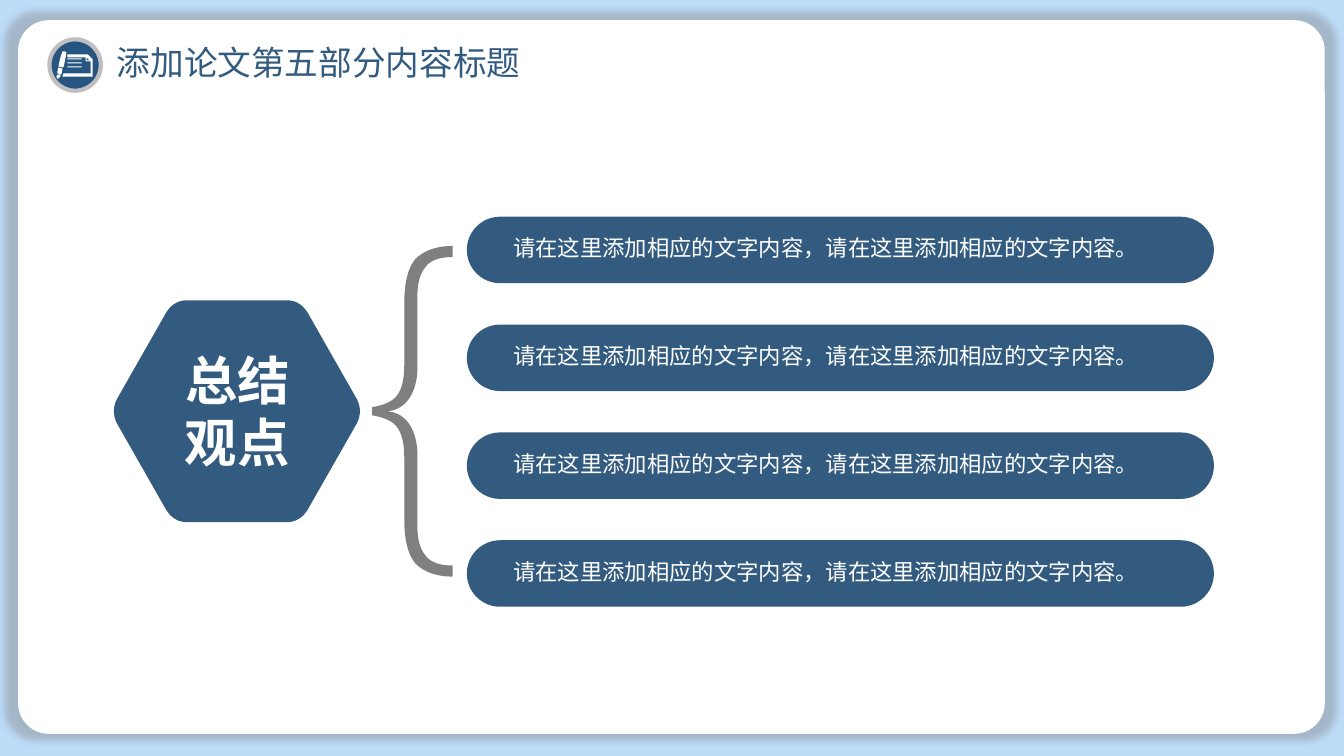
from dataclasses import dataclass

from lxml import etree
from pptx import Presentation
from pptx.dml.color import RGBColor
from pptx.enum.shapes import MSO_SHAPE
from pptx.enum.text import MSO_ANCHOR, MSO_AUTO_SIZE, PP_ALIGN
from pptx.oxml.ns import qn
from pptx.util import Inches, Pt

RECT, ROUND, OVAL = MSO_SHAPE.RECTANGLE, MSO_SHAPE.ROUNDED_RECTANGLE, MSO_SHAPE.OVAL
LEFT, CENTER, JUSTIFY = PP_ALIGN.LEFT, PP_ALIGN.CENTER, PP_ALIGN.JUSTIFY
TOP, FIT = MSO_ANCHOR.TOP, MSO_AUTO_SIZE.SHAPE_TO_FIT_TEXT

COLORS = {
    "sky": "BDDCF8",
    "white": "FFFFFF",
    "navy": "325B7F",
    "badge": "255580",
    "ring": "BFBFBF",
    "gray": "7F7F7F",
    "shadow": "808080",
}
SANS, HEAD = "Noto Sans CJK SC", "Noto Sans CJK JP"

# A path is a list of steps: two numbers for a line, six for a Bezier curve
Path = list[tuple[float, ...]]


@dataclass
class Node:
    x: float
    y: float
    bend: bool = False  # a control point of a curve


@dataclass
class Box:
    left: float
    top: float
    width: float
    height: float

    def emu(self) -> list[int]:
        return [Inches(v) for v in (self.left, self.top, self.width, self.height)]


@dataclass
class Style:
    size: float
    font: str
    color: str
    align: PP_ALIGN
    bold: bool = False
    line: float | None = None


def rgb(name: str) -> RGBColor:
    return RGBColor.from_string(COLORS[name])


def paint(shape, color: str) -> None:
    shape.shadow.inherit = False
    shape.fill.solid()
    shape.fill.fore_color.rgb = rgb(color)
    shape.line.fill.background()


def add_form(slide, kind, box: Box, color: str, adj: float | None = None):
    shape = slide.shapes.add_shape(kind, *box.emu())
    paint(shape, color)
    if adj is not None:
        shape.adjustments[0] = adj
    return shape


def write(shape, text: str, style: Style, pad: tuple[float, float] = (0, 0)) -> None:
    frame = shape.text_frame
    frame.word_wrap = True
    frame.auto_size = FIT
    frame.vertical_anchor = TOP
    frame.margin_left = frame.margin_right = Inches(pad[0])
    frame.margin_top = frame.margin_bottom = Inches(pad[1])
    frame.text = text
    para = frame.paragraphs[0]
    para.alignment = style.align
    if style.line:
        para.line_spacing = Pt(style.line)
    font = para.font
    font.size, font.bold, font.name = Pt(style.size), style.bold, style.font
    font.color.rgb = rgb(style.color)
    # East Asian typeface
    props = para._p.pPr.find(qn("a:defRPr"))
    etree.SubElement(props, qn("a:ea")).set("typeface", style.font)


def add_text(slide, box: Box, text: str, style: Style) -> None:
    write(slide.shapes.add_textbox(*box.emu()), text, style)


def trace(path: Path) -> list[Node]:
    """Turn steps into nodes."""
    return [
        Node(step[i], step[i + 1], bend=i + 2 < len(step))
        for step in path for i in range(0, len(step), 2)
    ]


def flip_x(nodes: list[Node], mid: float) -> list[Node]:
    return nodes + [Node(2 * mid - n.x, n.y, n.bend) for n in reversed(nodes)]


def flip_y(nodes: list[Node], mid: float) -> list[Node]:
    return nodes + [Node(n.x, 2 * mid - n.y, n.bend) for n in reversed(nodes)]


def add_free(slide, loops: list[list[Node]], color: str) -> None:
    pen = slide.shapes.build_freeform(Inches(loops[0][0].x), Inches(loops[0][0].y), scale=1.0)
    for i, (start, *rest) in enumerate(loops):
        if i:
            pen.move_to(Inches(start.x), Inches(start.y))
        pen.add_line_segments([(Inches(n.x), Inches(n.y)) for n in rest], close=True)
    shape = pen.convert_to_shape()
    paint(shape, color)
    # Join two control points and an end point into one curve
    lines = list(shape._element.iter(qn("a:lnTo")))
    bends = [n.bend for loop in loops for n in loop[1:]]
    i = 0
    while i < len(lines):
        if bends[i]:
            lines[i].tag = qn("a:cubicBezTo")
            for extra in lines[i + 1:i + 3]:
                lines[i].append(extra[0])
                extra.getparent().remove(extra)
            i += 2
        i += 1


def add_glow(shape) -> None:
    effects = shape._element.spPr.find(qn("a:effectLst"))
    glow = etree.SubElement(
        effects, qn("a:outerShdw"), blurRad=str(Pt(5)), dist="0", dir="0",
        sx="102000", sy="102000", algn="ctr", rotWithShape="0")
    tint = etree.SubElement(glow, qn("a:srgbClr"), val=COLORS["shadow"])
    etree.SubElement(tint, qn("a:alpha"), val="40000")


MID = 4.08
HEX: Path = [
    (1.13, MID), (1.13, 4.04, 1.14, 4, 1.16, 3.96), (1.65, 3.1),
    (1.67, 3.07, 1.7, 3.03, 1.74, 3.01), (1.77, 2.99, 1.81, 2.98, 1.85, 2.98),
]
BRACE: Path = [
    (3.69, 4.04), (3.81, 4.02, 3.9, 3.98, 3.94, 3.92), (3.98, 3.87, 4.01, 3.77, 4.01, 3.63),
    (4.01, 3.01), (4.01, 2.8, 4.05, 2.65, 4.12, 2.57), (4.2, 2.49, 4.32, 2.44, 4.49, 2.44),
    (4.49, 2.55), (4.36, 2.55, 4.27, 2.58, 4.22, 2.65), (4.16, 2.72, 4.14, 2.82, 4.14, 2.95),
    (4.14, 3.66), (4.14, 3.85, 4.05, 4.08, 3.82, 4.08),
]
PEN: list[Path] = [
    [(0.62, 0.51), (0.64, 0.51, 0.65, 0.51, 0.66, 0.52), (0.65, 0.58, 0.64, 0.63, 0.63, 0.67),
     (0.61, 0.67, 0.6, 0.67, 0.58, 0.66), (0.59, 0.61, 0.6, 0.56, 0.62, 0.51)],
    [(0.58, 0.67), (0.57, 0.69, 0.57, 0.71, 0.57, 0.73), (0.61, 0.74), (0.62, 0.68)],
    [(0.57, 0.74), (0.6, 0.74), (0.6, 0.76), (0.58, 0.78), (0.57, 0.78), (0.56, 0.76)],
]
PAGE: list[Path] = [
    [(0.63, 0.73), (0.62, 0.76), (0.92, 0.76), (0.92, 0.59), (0.87, 0.54), (0.67, 0.54),
     (0.67, 0.57), (0.85, 0.57), (0.85, 0.61), (0.9, 0.61), (0.9, 0.73)],
    [(0.89, 0.6), (0.86, 0.6), (0.86, 0.57)],
]
RULES: list[Path] = [
    [(0.67, y), (0.81, y), (0.81, y + 0.01), (0.67, y + 0.01)] for y in (0.58, 0.62, 0.66)
]
POINT = "请在这里添加相应的文字内容，请在这里添加相应的文字内容。"
ROWS, FIRST, PITCH = 4, 2.15, 1.07


def main() -> None:
    deck = Presentation()
    deck.slide_width, deck.slide_height = Inches(13.33), Inches(7.5)
    slide = deck.slides.add_slide(deck.slide_layouts[5])

    # Backdrop and card belong to the layout
    back = add_form(slide, RECT, Box(0, 0, 13.33, 7.5), "sky")
    card = add_form(slide, ROUND, Box(0.18, 0.2, 12.96, 7.08), "white", 0.043)
    add_glow(card)
    for part in (card, back):
        slide.slide_layout.shapes._spTree.insert(2, part._element)

    # Title
    title = slide.shapes.title
    title.left, title.top, title.width, title.height = Box(1.03, 0.35, 4.45, 0.54).emu()
    write(title, "添加论文第五部分内容标题", Style(24, HEAD, "navy", LEFT), (0.13, 0.07))

    # Badge with pen and page
    badge = add_form(slide, OVAL, Box(0.49, 0.39, 0.51, 0.51), "badge")
    badge.line.color.rgb = rgb("ring")
    badge.line.width = Pt(3)
    add_free(slide, [trace(p) for p in PEN + PAGE + RULES], "white")

    # Hexagon and brace
    add_free(slide, [flip_y(flip_x(trace(HEX), 2.35), MID)], "navy")
    add_text(slide, Box(1.69, 3.45, 1.33, 1.26), "总结观点",
             Style(37.4, SANS, "white", CENTER, bold=True))
    add_free(slide, [flip_y(trace(BRACE), MID)], "gray")

    # Points
    style = Style(16, SANS, "white", JUSTIFY, line=13)
    for row in range(ROWS):
        top = FIRST + row * PITCH
        add_form(slide, ROUND, Box(4.63, top, 7.41, 0.66), "navy", 0.5)
        add_text(slide, Box(5.09, top + 0.26, 6.22, 0.19), POINT, style)

    deck.save("out.pptx")


if __name__ == "__main__":
    main()
